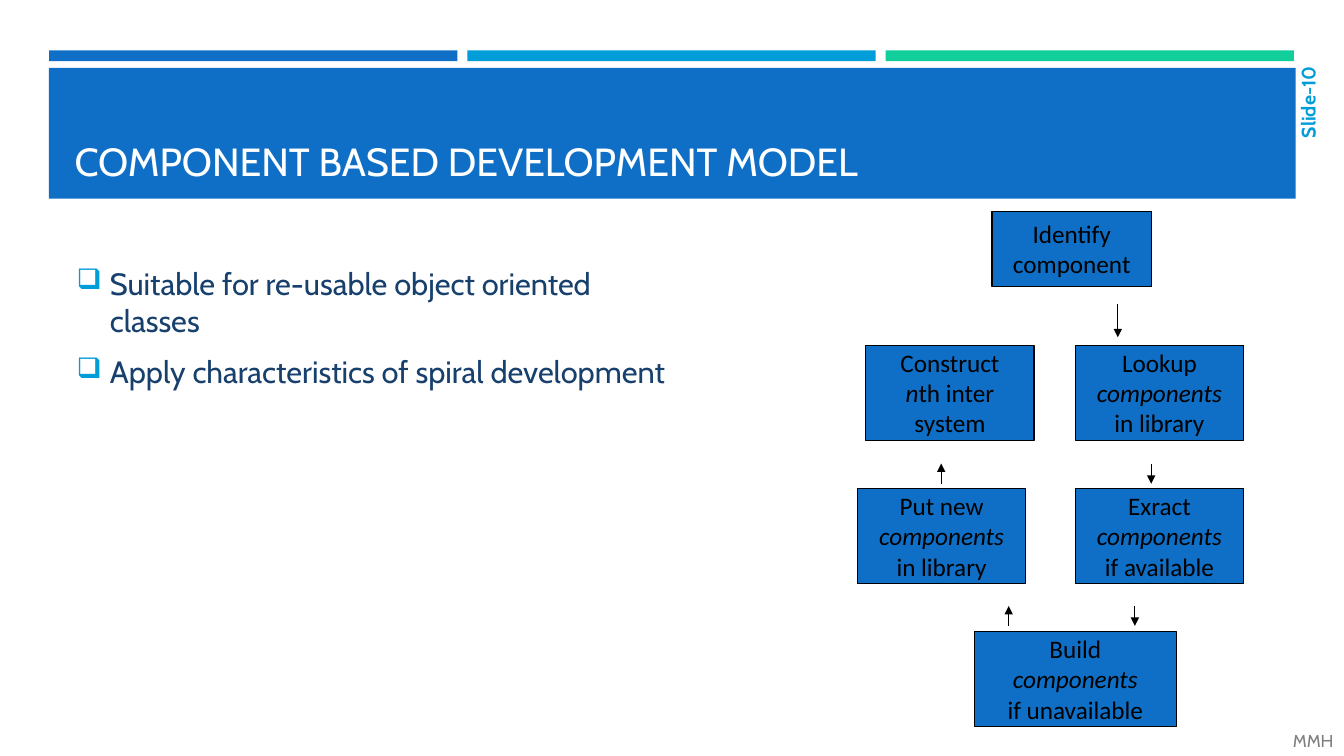
from lxml import etree
from pptx import Presentation
from pptx.dml.color import RGBColor
from pptx.enum import shapes, text
from pptx.oxml import ns
from pptx.util import Cm, Pt

BLUE = RGBColor(0x0F, 0x6F, 0xC6)
SKY = RGBColor(0x00, 0x9D, 0xD9)
GREEN = RGBColor(0x10, 0xCF, 0x9B)
NAVY = RGBColor(0x17, 0x40, 0x6D)
GREY = RGBColor(0x80, 0x80, 0x80)
WHITE = RGBColor(0xFF, 0xFF, 0xFF)
BLACK = RGBColor(0x00, 0x00, 0x00)

TITLE = "COMPONENT BASED DEVELOPMENT MODEL"
POINTS = ["Suitable for re-usable object oriented classes",
          "Apply characteristics of spiral development"]
BARS = [BLUE, SKY, GREEN]
BAR_LEFT, BAR_STEP, BAR_WIDTH = 1.24, 10.54, 10.29

# (text, italic) runs in each line of a step

STEPS = [
    (25.0, 5.33, 4.02, 1.88, [[("Identify", False)], [("component", False)]]),
    (21.82, 8.7, 4.24, 2.39, [[("Construct", False)],
                              [("n", True), ("th inter", False)],
                              [("system", False)]]),
    (27.1, 8.7, 4.24, 2.39, [[("Lookup", False)], [("components", True)],
                             [("in library", False)]]),
    (21.61, 12.31, 4.24, 2.39, [[("Put new", False)], [("components", True)],
                                [("in library", False)]]),
    (27.1, 12.31, 4.24, 2.39, [[("Exract", False)], [("components", True)],
                               [("if available", False)]]),
    (24.56, 15.91, 5.08, 2.39, [[("Build", False)], [("components", True)],
                                [("if unavailable", False)]]),
]
ARROWS = [(28.17, 7.65, 8.5), (29.01, 11.68, 12.19), (28.6, 15.27, 15.77),
          (25.42, 15.77, 15.27), (23.72, 12.19, 11.68)]


def add_rect(sl, box, fill):
    sp = sl.shapes.add_shape(shapes.MSO_SHAPE.RECTANGLE, *map(Cm, box))
    sp.shadow.inherit = False
    sp.fill.solid()
    sp.fill.fore_color.rgb = fill
    sp.line.fill.background()
    return sp


def add_run(p, words, color, **formats):
    r = p.add_run()
    r.text = words
    r.font.color.rgb = color
    for name, value in formats.items():
        setattr(r.font, name, value)


def add_text(sl, box, **formats):
    tf = sl.shapes.add_textbox(*map(Cm, box)).text_frame
    settings = {"word_wrap": True, "vertical_anchor": text.MSO_ANCHOR.MIDDLE}
    for name, value in {**settings, **formats}.items():
        setattr(tf, name, value)
    return tf


def add_bullet(p):
    pPr = p._p.get_or_add_pPr()
    pPr.set("marL", str(Cm(0.84)))
    pPr.set("indent", str(-Cm(0.84)))
    clr = etree.SubElement(pPr, ns.qn("a:buClr"))
    etree.SubElement(clr, ns.qn("a:srgbClr")).set("val", str(SKY))
    etree.SubElement(pPr, ns.qn("a:buSzPct")).set("val", "92000")
    etree.SubElement(pPr, ns.qn("a:buChar")).set("char", "❑")


def add_step(sl, left, top, width, height, lines):
    sp = add_rect(sl, (left, top, width, height), BLUE)
    sp.line.color.rgb = BLACK
    sp.line.width = Pt(0.75)
    tf = sp.text_frame
    tf.word_wrap = False
    tf.vertical_anchor = text.MSO_ANCHOR.MIDDLE
    for i, runs in enumerate(lines):
        p = tf.add_paragraph() if i else tf.paragraphs[0]
        p.alignment = text.PP_ALIGN.CENTER
        for words, italic in runs:
            add_run(p, words, BLACK, name="Calibri", size=Pt(18), italic=italic)


def add_arrow(sl, x, start, end):
    c = sl.shapes.add_connector(shapes.MSO_CONNECTOR.STRAIGHT,
                                Cm(x), Cm(start), Cm(x), Cm(end))
    c.line.color.rgb = BLACK
    c.line.width = Pt(0.75)
    ln = c.line._get_or_add_ln()
    etree.SubElement(ln, ns.qn("a:tailEnd")).set("type", "triangle")
    etree.SubElement(c._element.spPr, ns.qn("a:effectLst"))


def main():
    prs = Presentation()
    prs.slide_width, prs.slide_height = Cm(33.87), Cm(19.05)
    sl = prs.slides.add_slide(prs.slide_layouts[6])

    for i, color in enumerate(BARS):
        add_rect(sl, (BAR_LEFT + i * BAR_STEP, 1.27, BAR_WIDTH, 0.27), color)
    add_rect(sl, (1.23, 1.71, 31.42, 3.3), BLUE)

    tf = add_text(sl, (1.63, 1.96, 30.63, 2.82),
                  vertical_anchor=text.MSO_ANCHOR.BOTTOM)
    add_run(tf.paragraphs[0], TITLE, WHITE, name="Cabin", size=Pt(28))

    tf = add_text(sl, (1.68, 6.43, 15.88, 3.63))
    for i, point in enumerate(POINTS):
        p = tf.add_paragraph() if i else tf.paragraphs[0]
        add_bullet(p)
        p.space_before = Pt(4.4 if i else 0)
        p.space_after = Pt(6)
        add_run(p, point, NAVY, name="Cabin", size=Pt(22))

    tf = add_text(sl, (32.69, 1.68, 0.66, 2.79), margin_left=0, margin_right=Cm(0.13),
                  margin_top=0, margin_bottom=0)
    tf._txBody.bodyPr.set("vert", "vert270")
    tf.paragraphs[0].alignment = text.PP_ALIGN.RIGHT
    add_run(tf.paragraphs[0], "Slide-10", SKY, name="Cabin", size=Pt(14), bold=True)

    for step in STEPS:
        add_step(sl, *step)
    for arrow in ARROWS:
        add_arrow(sl, *arrow)

    tf = add_text(sl, (32.08, 18.29, 1.78, 0.76))
    tf.paragraphs[0].alignment = text.PP_ALIGN.RIGHT
    add_run(tf.paragraphs[0], "MMH", GREY, name="Cabin", size=Pt(12.3))

    prs.save("out.pptx")


if __name__ == "__main__":
    main()
